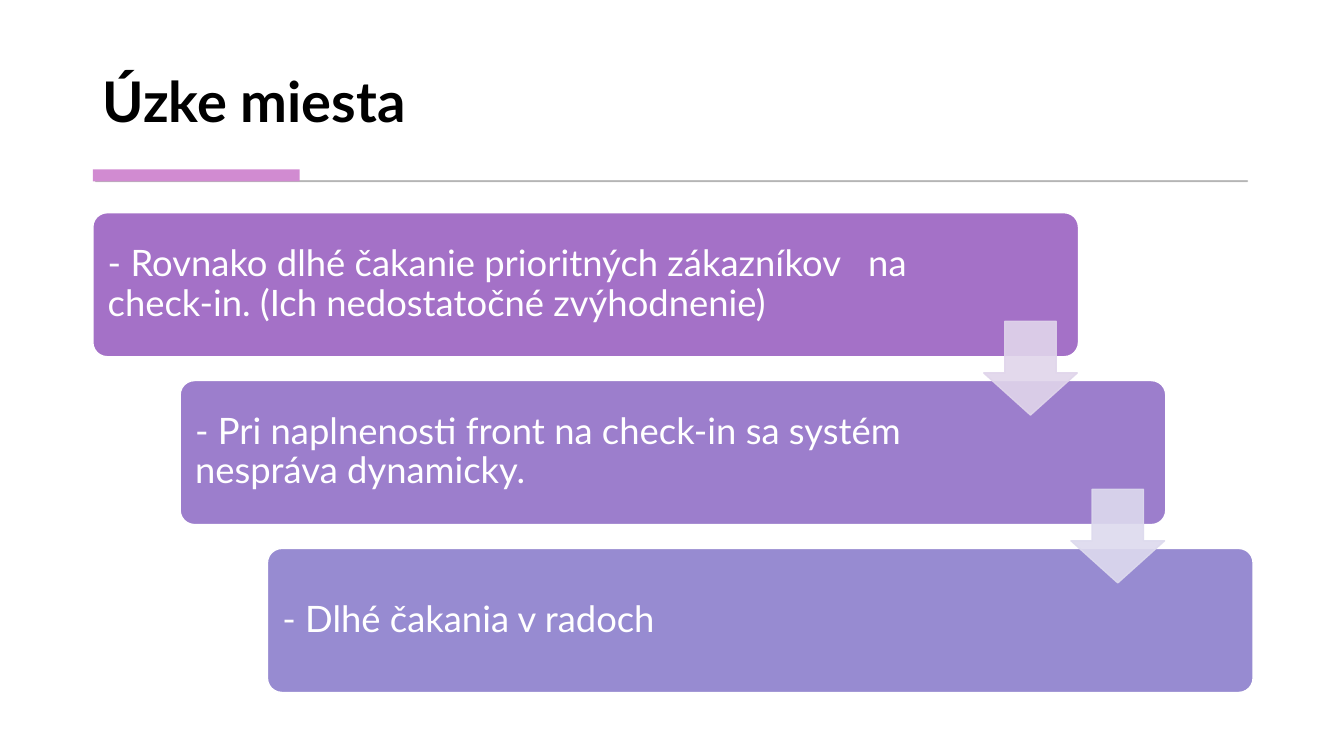
from lxml import etree
from pptx import Presentation
from pptx.dml.color import RGBColor
from pptx.enum.shapes import MSO_SHAPE
from pptx.enum.text import MSO_ANCHOR, PP_ALIGN
from pptx.oxml.ns import qn
from pptx.util import Cm, Pt


def paint(fill, color, alpha=100):
    fill.solid()
    fill.fore_color.rgb = RGBColor.from_string(color)
    if alpha < 100:
        clr = fill._xPr.find(qn("a:solidFill"))[0]
        etree.SubElement(clr, qn("a:alpha")).set("val", str(alpha * 1000))


def add_block(kind, x, y, w, h, color, alpha=100, line=None, width=1):
    sp = s.shapes.add_shape(kind, Cm(x), Cm(y), Cm(w), Cm(h))
    sp.shadow.inherit = False
    paint(sp.fill, color, alpha)
    if line:
        sp.line.width = Pt(width)
        paint(sp.line.fill, line, alpha)
    else:
        sp.line.fill.background()
    return sp


prs = Presentation()
prs.slide_width, prs.slide_height = Cm(33.87), Cm(19.05)
s = prs.slides.add_slide(prs.slide_layouts[6])

# Title
tf = s.shapes.add_textbox(Cm(2.34), Cm(0.71), Cm(29.18), Cm(2.82)).text_frame
tf.word_wrap = True
tf.vertical_anchor = MSO_ANCHOR.BOTTOM
p = tf.paragraphs[0]
p.text = "Úzke miesta"
p.line_spacing = 0.9
p.font.name, p.font.size, p.font.bold = "Lato", Pt(40), True
paint(p.font.fill, "000000")

# Rule and accent bar under the title
add_block(MSO_SHAPE.RECTANGLE, 2.41, 4.55, 29.03, 0.03, "595959", 30, "595959", 0.75)
add_block(MSO_SHAPE.RECTANGLE, 2.34, 4.27, 5.21, 0.3, "D18BD1")

# Staggered steps
STEP_X, STEP_Y = 2.2, 4.23
steps = [
    ("- Rovnako dlhé čakanie prioritných zákazníkov   na check-in. (Ich nedostatočné zvýhodnenie)", "A471C7"),
    ("- Pri naplnenosti front na check-in sa systém nespráva dynamicky.", "9C7ECC"),
    ("- Dlhé čakania v radoch", "978BD1"),
]
for i, (text, color) in enumerate(steps):
    sp = add_block(MSO_SHAPE.ROUNDED_RECTANGLE, 2.34 + i * STEP_X, 5.36 + i * STEP_Y,
                   24.84, 3.63, color, line="FFFFFF")
    sp.adjustments[0] = 0.1
    tf = sp.text_frame
    tf.word_wrap = True
    tf.vertical_anchor = MSO_ANCHOR.MIDDLE
    tf.margin_left, tf.margin_right = Cm(0.27), Cm(4.11)
    p = tf.paragraphs[0]
    p.text = text
    p.alignment = PP_ALIGN.LEFT
    p.line_spacing = 0.9
    p.font.name, p.font.size = "Lato", Pt(26)
    paint(p.font.fill, "FFFFFF")

# Arrows between the steps
for i, color in enumerate(["E0D5EB", "DDDAEE"]):
    sp = add_block(MSO_SHAPE.DOWN_ARROW, 24.79 + i * STEP_X, 8.1 + i * STEP_Y,
                   2.36, 2.36, color, 90, color)
    sp.adjustments[0], sp.adjustments[1] = 0.55, 0.45

prs.save("out.pptx")
